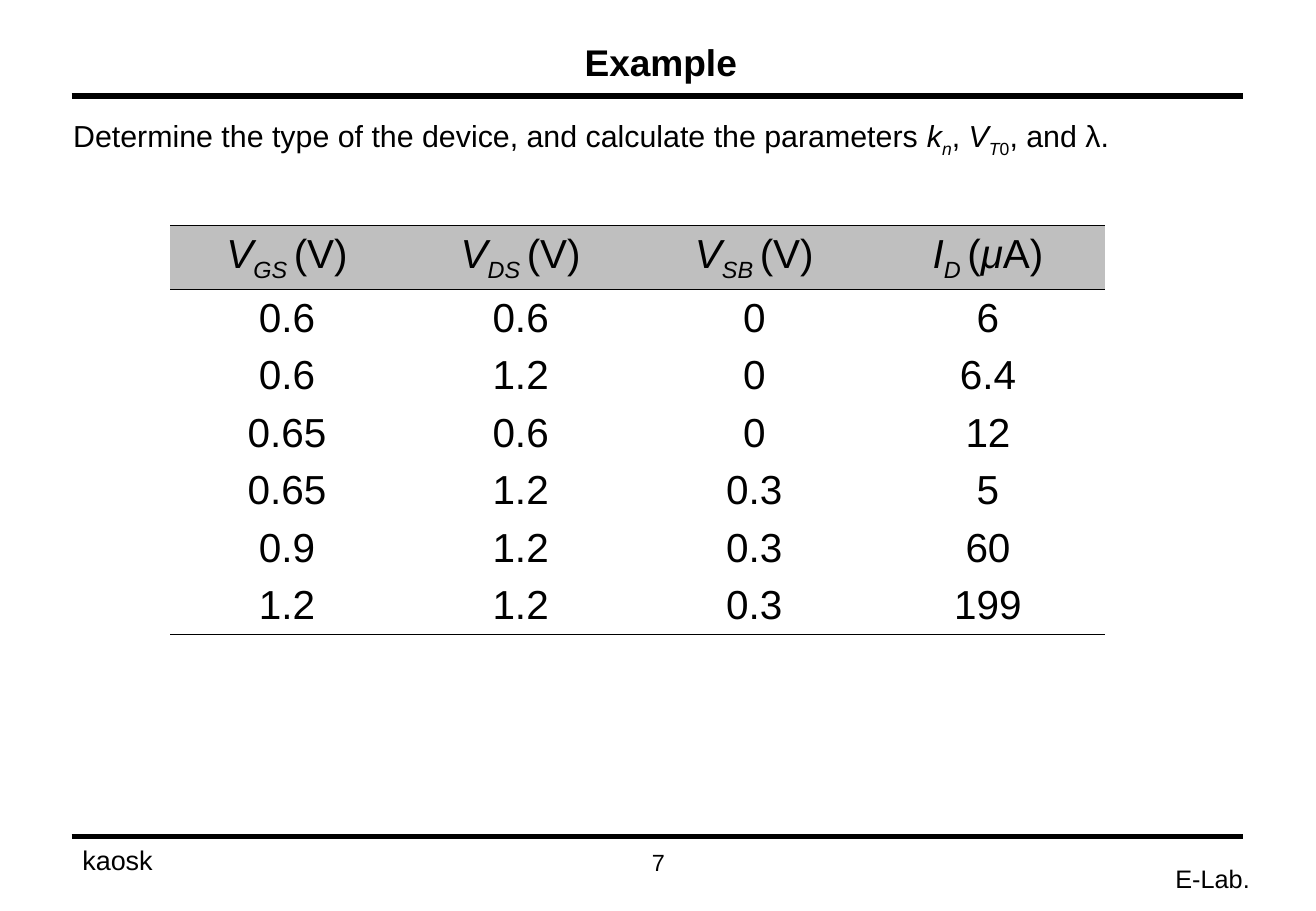
import pptx
import pptx.dml.color
import pptx.enum.shapes
import pptx.enum.text
import pptx.util
from lxml import etree
from pptx.oxml.ns import qn

Pt = pptx.util.Pt
ALIGN = pptx.enum.text.PP_ALIGN
ANCHOR = pptx.enum.text.MSO_ANCHOR
BLACK = "000000"
HEADER_GREY = "BFBFBF"
RULE_LEFT, RULE_RIGHT = 42.5, 737.3

# Spans are (text, style): "i" is italic, "s" is subscript.
TASK = [
    ("Determine the type of the device, and calculate the parameters ", ""),
    ("k", "i"), ("n", "is"), (", ", ""),
    ("V", "i"), ("T", "is"), ("0", "s"), (", and λ.", ""),
]
HEADINGS = [
    [("V", "i"), ("GS ", "is"), ("(V)", "")],
    [("V", "i"), ("DS ", "is"), ("(V)", "")],
    [("V", "i"), ("SB ", "is"), ("(V)", "")],
    [("I", "i"), ("D ", "is"), ("(", ""), ("μ", "i"), ("A)", "")],
]
MEASUREMENTS = [
    ("0.6", "0.6", "0", "6"),
    ("0.6", "1.2", "0", "6.4"),
    ("0.65", "0.6", "0", "12"),
    ("0.65", "1.2", "0.3", "5"),
    ("0.9", "1.2", "0.3", "60"),
    ("1.2", "1.2", "0.3", "199"),
]


def colour(value):
    return pptx.dml.color.RGBColor.from_string(value)


def write(frame, spans, size, align=ALIGN.LEFT, bold=False, before=0):
    """Fill the first paragraph of a text frame with styled spans."""
    para = frame.paragraphs[0]
    para.alignment = align
    para.space_before = Pt(before)
    para.font.name = "Arial"
    para.font.size = Pt(size)
    para.font.bold = bold
    para.font.color.rgb = colour(BLACK)
    for text, style in spans:
        span = para.add_run()
        span.text = text
        if "i" in style:
            span.font.italic = True
        if "s" in style:
            span.font._element.set("baseline", "-25000")
    return para


def place(shape, left, top, width, height):
    shape.left, shape.top = Pt(left), Pt(top)
    shape.width, shape.height = Pt(width), Pt(height)
    shape.text_frame.word_wrap = True
    shape.text_frame.auto_size = pptx.enum.text.MSO_AUTO_SIZE.NONE


def add_title(page, text):
    title = page.shapes.title
    place(title, 36.9, 19.4, 710, 34.6)
    title.text_frame.vertical_anchor = ANCHOR.MIDDLE
    write(title.text_frame, [(text, "")], 22, ALIGN.CENTER, bold=True)


def add_body(page, spans):
    body = page.placeholders[1]
    place(body, 36.2, 65.9, 702, 378)
    para = write(body.text_frame, spans, 18, before=4.5)
    properties = para._p.get_or_add_pPr()
    properties.set("marL", "0")
    properties.set("indent", "0")
    bullet = etree.Element(qn("a:buNone"))
    properties.find(qn("a:defRPr")).addprevious(bullet)


def add_rule(page, height):
    rule = page.shapes.add_connector(
        pptx.enum.shapes.MSO_CONNECTOR.STRAIGHT,
        Pt(RULE_LEFT), Pt(height), Pt(RULE_RIGHT), Pt(height))
    rule.line.color.rgb = colour(BLACK)
    rule.line.width = Pt(3)
    etree.SubElement(rule._element.spPr, qn("a:effectLst"))


def add_label(page, text, area, size, align, before=0):
    box = page.shapes.add_textbox(0, 0, 0, 0)
    place(box, *area)
    write(box.text_frame, [(text, "")], size, align, before=before)


def set_borders(cell, top, bottom):
    """Draw the top and bottom borders; a width of 0 means no line."""
    properties = cell._tc.get_or_add_tcPr()
    widths = {"lnL": 0, "lnR": 0, "lnT": top, "lnB": bottom}
    for index, (side, width) in enumerate(widths.items()):
        line = etree.Element(qn("a:" + side), w=str(int(Pt(width))))
        if width:
            fill = etree.SubElement(line, qn("a:solidFill"))
            etree.SubElement(fill, qn("a:srgbClr"), val=BLACK)
        else:
            etree.SubElement(line, qn("a:noFill"))
        properties.insert(index, line)


def add_measurement_table(page):
    rows = [HEADINGS] + [[[(value, "")] for value in row] for row in MEASUREMENTS]
    last = len(rows) - 1
    table = page.shapes.add_table(
        len(rows), len(HEADINGS), Pt(100.9), Pt(133.9), Pt(554.4), Pt(238.6)).table
    table.first_row = False
    table.horz_banding = False
    top_widths = {0: 0.75, 1: 0.45}
    bottom_widths = {0: 0.45, last: 0.45}
    for r, row in enumerate(rows):
        for c, spans in enumerate(row):
            cell = table.cell(r, c)
            cell.margin_left = cell.margin_right = Pt(5.8)
            cell.margin_top = cell.margin_bottom = Pt(3.6)
            write(cell.text_frame, spans, 24, ALIGN.CENTER)
            if r == 0:
                cell.fill.solid()
                cell.fill.fore_color.rgb = colour(HEADER_GREY)
            else:
                cell.fill.background()
            set_borders(cell, top_widths.get(r, 0), bottom_widths.get(r, 0))


def main():
    deck = pptx.Presentation()
    deck.slide_width = Pt(780.48)
    deck.slide_height = Pt(540)
    page = deck.slides.add_slide(deck.slide_layouts[1])
    add_rule(page, 496.1)
    add_label(page, "E-Lab.", (582.8, 508, 165.6, 25.2), 15, ALIGN.RIGHT)
    add_rule(page, 56.9)
    add_label(page, "kaosk", (41.8, 496.4, 131.8, 26.6), 16, ALIGN.LEFT, before=10)
    add_title(page, "Example")
    add_body(page, TASK)
    add_measurement_table(page)
    add_label(page, "7", (320.6, 499.3, 139.7, 24.5), 13.9, ALIGN.CENTER)
    deck.save("out.pptx")


if __name__ == "__main__":
    main()
